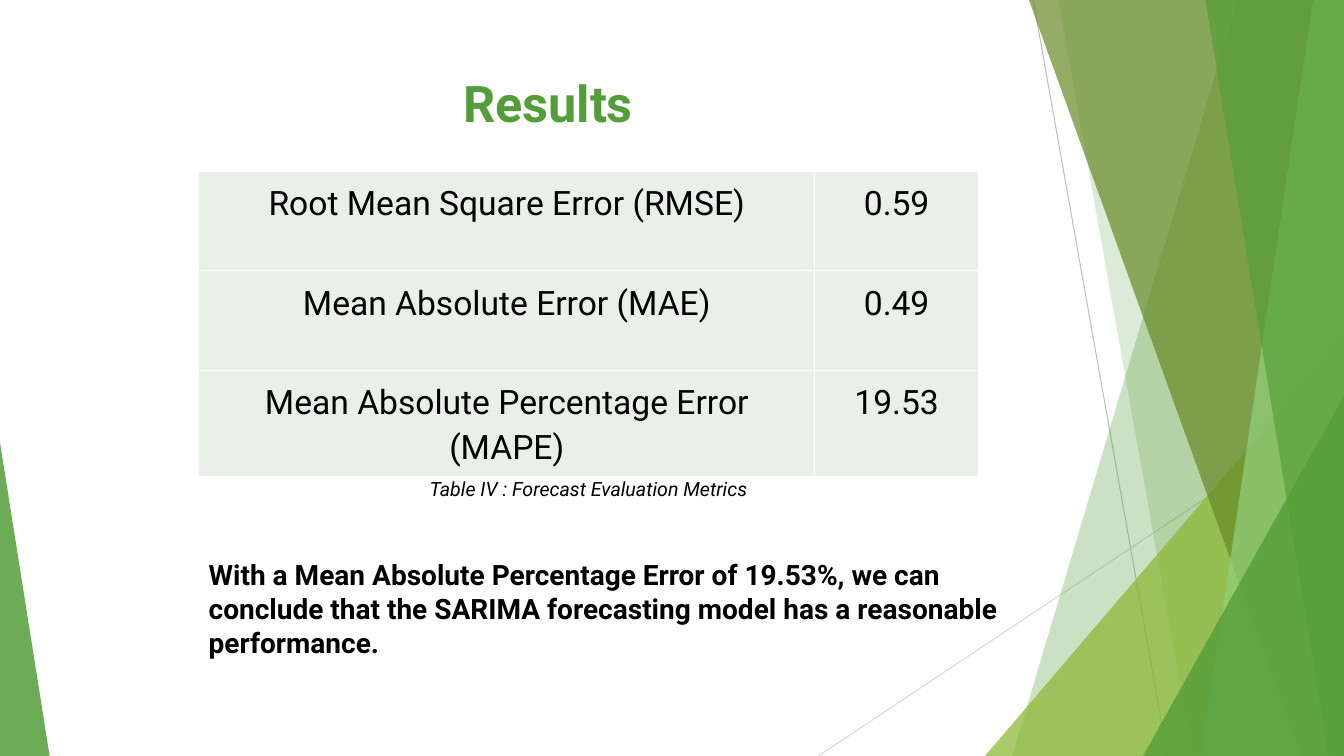
from dataclasses import dataclass

from pptx import Presentation
from pptx.dml.color import RGBColor
from pptx.enum.shapes import MSO_CONNECTOR as Connector, MSO_SHAPE as Preset
from pptx.enum.text import MSO_ANCHOR as Anchor, PP_ALIGN as Align
from pptx.oxml.ns import qn
from pptx.util import Pt
from lxml.etree import SubElement


@dataclass(frozen=True)
class Theme:
    """Colours, type sizes and font of the slide."""
    font: str = "Roboto"
    green: str = "549E39"
    olive: str = "678A26"
    lime: str = "8AB833"
    mint: str = "93D07D"
    cell: str = "E9F0E8"
    border: str = "FFFFFF"
    ink: str = "000000"
    dark_rule: str = "BFBFBF"
    light_rule: str = "D9D9D9"
    title: int = 36
    metric: int = 24
    conclusion: int = 20
    caption: int = 14


THEME = Theme()
WIDTH, HEIGHT = 960, 540
METRICS = [
    ("Root Mean Square Error (RMSE)", "0.59"),
    ("Mean Absolute Error (MAE)", "0.49"),
    ("Mean Absolute Percentage Error (MAPE)", "19.53"),
]


def paint(shape, colour, opacity):
    """Give a shape a translucent fill with no line or shadow."""
    shape.shadow.inherit = False
    shape.line.fill.background()
    shape.fill.solid()
    shape.fill.fore_color.rgb = RGBColor.from_string(colour)
    tint = shape.fill._xPr.find(qn("a:solidFill"))[0]
    SubElement(tint, qn("a:alpha")).set("val", str(opacity * 1000))


def add_rule(page, start, end, colour):
    """Draw a thin straight line between two points."""
    ends = [Pt(value) for value in (*start, *end)]
    rule = page.shapes.add_connector(Connector.STRAIGHT, *ends)
    rule.line.color.rgb = RGBColor.from_string(colour)
    rule.line.width = Pt(0.75)
    SubElement(rule._element.spPr, qn("a:effectLst"))


def add_facet(page, top_x, bottom_x, colour, opacity):
    """Draw a full-height facet from a slanted edge to the right side."""
    builder = page.shapes.build_freeform(Pt(top_x), 0)
    corners = [(WIDTH, 0), (WIDTH, HEIGHT), (bottom_x, HEIGHT)]
    builder.add_line_segments([(Pt(x), Pt(y)) for x, y in corners])
    paint(builder.convert_to_shape(), colour, opacity)


def add_wedge(page, left, top, width, apex, colour, opacity):
    """Draw a triangle that stands on the bottom edge of the slide."""
    bounds = [Pt(value) for value in (left, top, width, HEIGHT - top)]
    wedge = page.shapes.add_shape(Preset.ISOSCELES_TRIANGLE, *bounds)
    wedge.adjustments[0] = apex
    paint(wedge, colour, opacity)


def write(frame, text, size, colour=THEME.ink, align=Align.CENTER,
          bold=False, italic=False):
    """Fill the first paragraph of a text frame with one run."""
    para = frame.paragraphs[0]
    para.alignment = align
    span = para.add_run()
    span.text = text
    span.font.name = THEME.font
    span.font.size = Pt(size)
    span.font.bold = bold
    span.font.italic = italic
    span.font.color.rgb = RGBColor.from_string(colour)
    return para


def add_text(page, bounds, text, size, **style):
    """Add a wrapping text box."""
    box = page.shapes.add_textbox(*[Pt(value) for value in bounds])
    box.text_frame.word_wrap = True
    box.text_frame.vertical_anchor = Anchor.TOP
    write(box.text_frame, text, size, **style)


def style_cell(cell):
    """Give a table cell its margins, white borders and fill."""
    cell.margin_left = cell.margin_right = Pt(5)
    cell.margin_top = cell.margin_bottom = Pt(5)
    properties = cell._tc.get_or_add_tcPr()
    for side in ("a:lnL", "a:lnR", "a:lnT", "a:lnB"):
        border = SubElement(properties, qn(side), w=str(Pt(1)))
        fill = SubElement(border, qn("a:solidFill"))
        SubElement(fill, qn("a:srgbClr"), val=THEME.border)
    cell.fill.solid()
    cell.fill.fore_color.rgb = RGBColor.from_string(THEME.cell)


def add_metrics(page, left, top, widths, heights):
    """Add the table of forecast metrics."""
    bounds = [Pt(value) for value in (left, top, sum(widths), sum(heights))]
    table = page.shapes.add_table(len(heights), len(widths), *bounds).table
    table.first_row = table.horz_banding = False
    for column, width in zip(table.columns, widths):
        column.width = Pt(width)
    for row, height, values in zip(table.rows, heights, METRICS):
        row.height = Pt(height)
        for cell, value in zip(row.cells, values):
            style_cell(cell)
            para = write(cell.text_frame, value, THEME.metric)
            para.line_spacing = 1.15


def add_backdrop(page):
    """Draw the green facets and thin lines behind the content."""
    add_rule(page, (738, 0), (834, HEIGHT), THEME.dark_rule)
    add_rule(page, (WIDTH, 290), (584.5, HEIGHT), THEME.light_rule)
    add_facet(page, 884, 723, THEME.green, 30)
    add_facet(page, 756, 852, THEME.green, 20)
    add_wedge(page, 703.5, 240, 256.5, 1, THEME.lime, 72)
    add_facet(page, 735, 929.5, THEME.olive, 70)
    add_facet(page, 938, 858, THEME.mint, 70)
    add_facet(page, 861, 949, THEME.green, 65)
    add_wedge(page, 816.5, 283, 143.5, 1, THEME.green, 80)
    add_wedge(page, 0, 316, 35.5, 0, THEME.green, 85)


def main():
    """Build and save the results slide."""
    deck = Presentation()
    deck.slide_width, deck.slide_height = Pt(WIDTH), Pt(HEIGHT)
    page = deck.slides.add_slide(deck.slide_layouts[6])
    add_backdrop(page)
    add_text(page, (53, 48, 677, 74), "Results", THEME.title,
             colour=THEME.green, bold=True)
    add_metrics(page, 142, 122.5, (440, 117), (71, 71, 73.5))
    add_text(page, (142, 337, 557, 24.5),
             "Table IV : Forecast Evaluation Metrics", THEME.caption,
             italic=True)
    add_text(page, (142, 395, 595.5, 101.5),
             "With a Mean Absolute Percentage Error of 19.53%, we can conclude "
             "that the SARIMA forecasting model has a reasonable performance.",
             THEME.conclusion, align=Align.LEFT, bold=True)
    deck.save("out.pptx")


if __name__ == "__main__":
    main()
